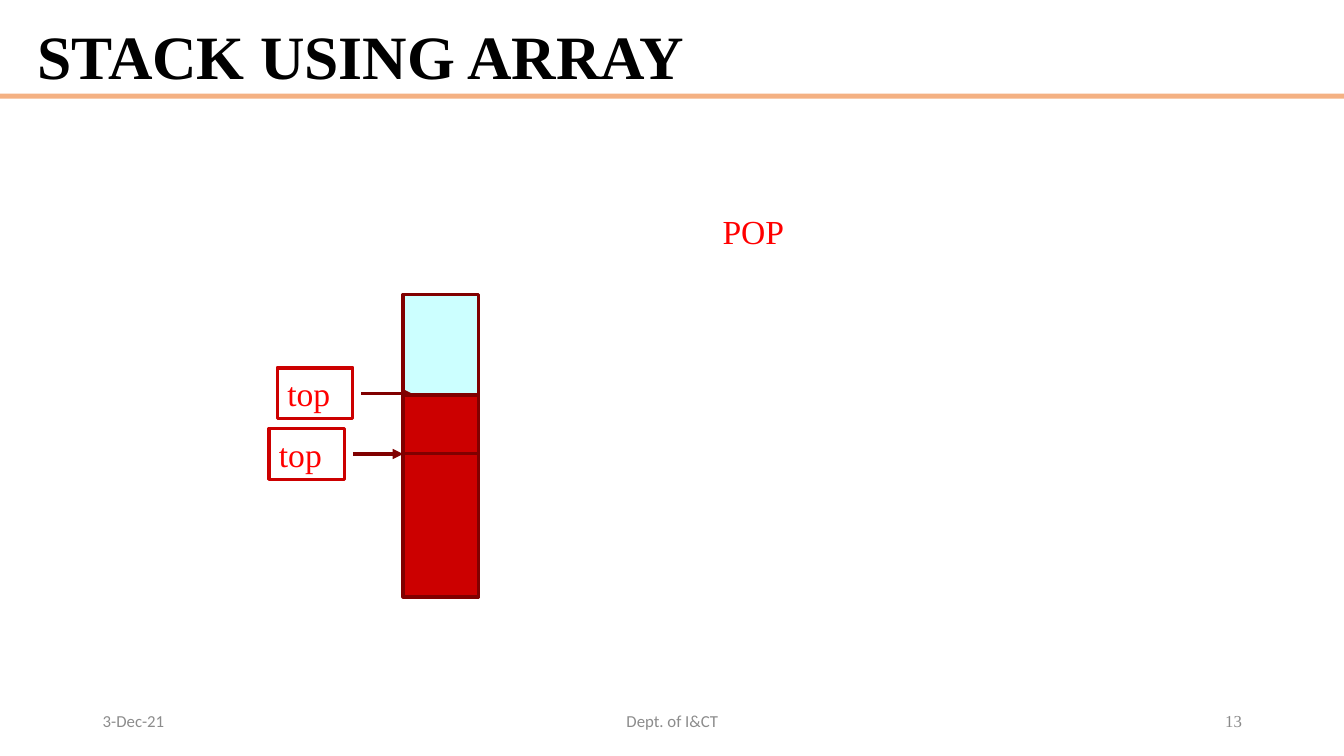
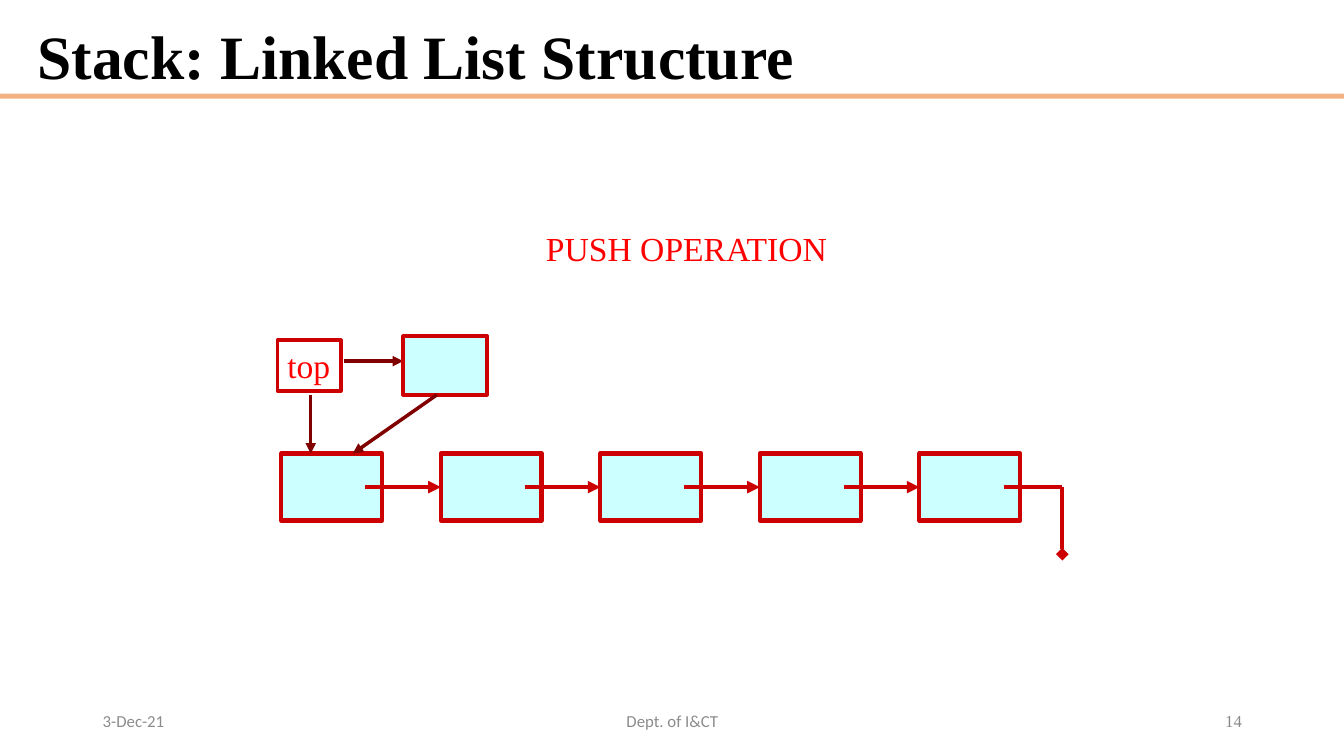
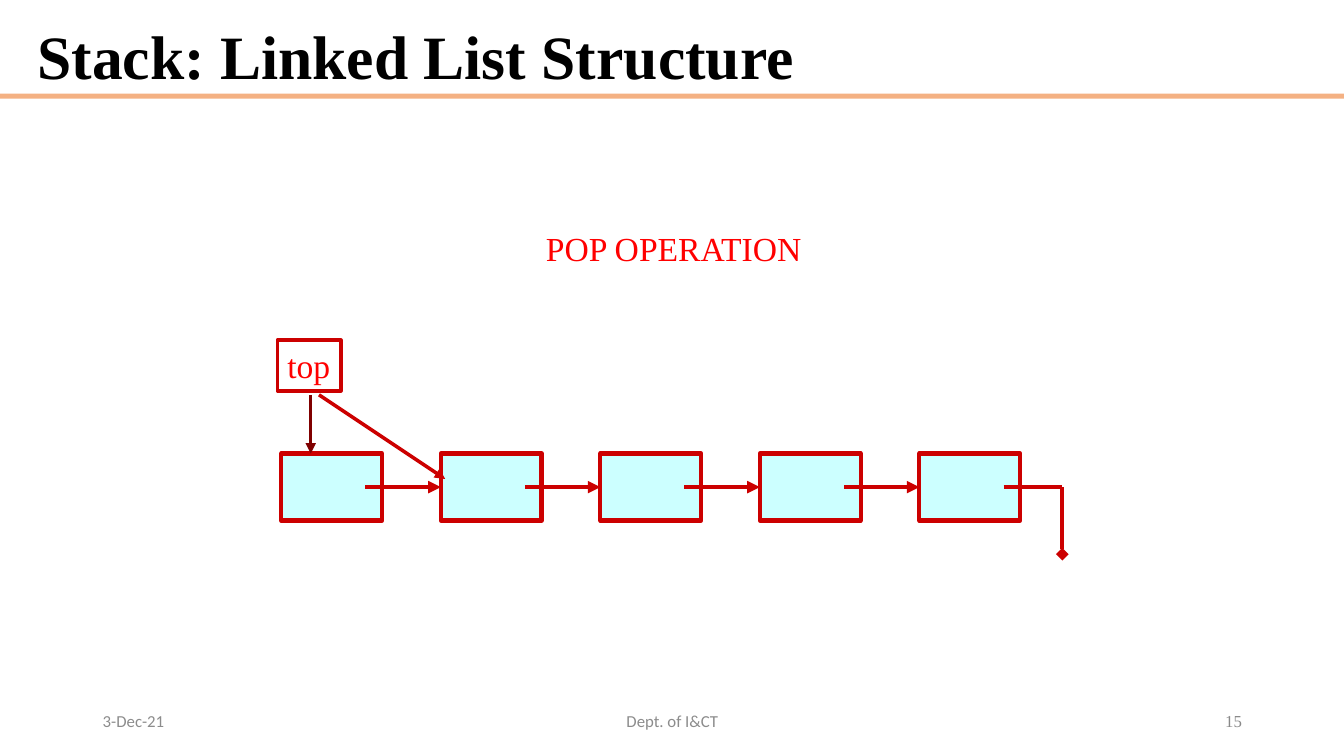
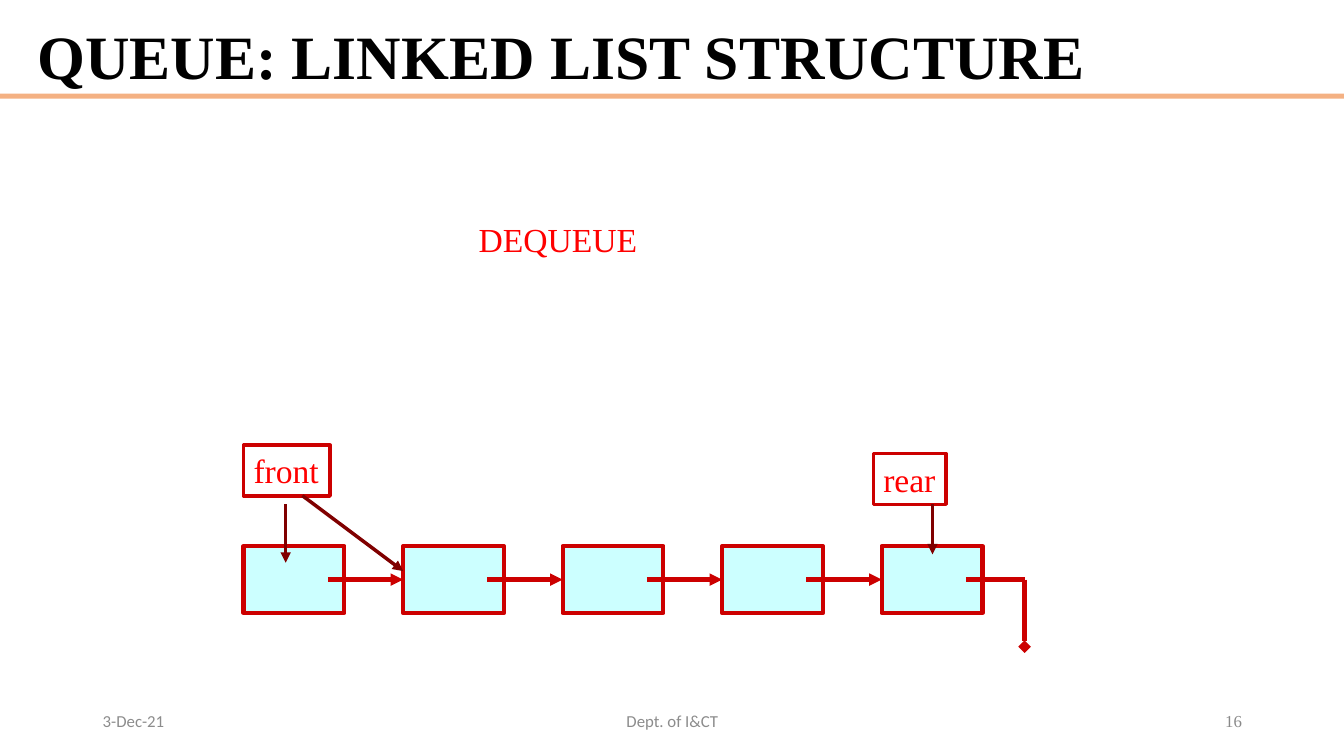
from dataclasses import dataclass

from lxml import etree
from pptx import Presentation
from pptx.dml.color import RGBColor
from pptx.enum import shapes as shp, text as txt
from pptx.oxml import ns
from pptx.slide import Slide
from pptx.util import Cm, Pt

HUES = {
    "band": "F4B183", "black": "000000", "gray": "8C8C8C", "page": "898989",
    "red": "CC0000", "dark": "800000", "cyan": "CCFFFF", "word": "FF0000",
}
SERIF, SANS = "Times New Roman", "Calibri"
LEFT, MID, RIGHT = txt.PP_ALIGN.LEFT, txt.PP_ALIGN.CENTER, txt.PP_ALIGN.RIGHT
WIDE, HIGH = 33.87, 19.05


# Elements, all lengths in centimetres
@dataclass
class Box:
    x: float
    y: float
    w: float
    h: float
    fill: str | None = None
    line: str | None = None
    weight: float = 2.5


@dataclass
class Label:
    x: float
    y: float
    w: float
    h: float
    words: str
    size: int = 24
    font: str = SERIF
    hue: str = "word"
    bold: bool = False
    align: txt.PP_ALIGN = LEFT
    mid: bool = False
    wrap: bool = False
    edge: str | None = None


@dataclass
class Arrow:
    x: float
    y: float
    to_x: float
    to_y: float
    hue: str = "dark"
    weight: float = 2.5
    head: str | None = "triangle"


Item = Box | Label | Arrow


def color(name: str) -> RGBColor:
    return RGBColor.from_string(HUES[name])


# Drawing
def draw_box(slide: Slide, box: Box) -> None:
    rect = slide.shapes.add_shape(shp.MSO_SHAPE.RECTANGLE,
                                  Cm(box.x), Cm(box.y), Cm(box.w), Cm(box.h))
    rect.shadow.inherit = False
    if box.fill:
        rect.fill.solid()
        rect.fill.fore_color.rgb = color(box.fill)
    else:
        rect.fill.background()
    if box.line:
        rect.line.color.rgb = color(box.line)
        rect.line.width = Pt(box.weight)
    else:
        rect.line.fill.background()


def draw_label(slide: Slide, label: Label) -> None:
    area = slide.shapes.add_textbox(Cm(label.x), Cm(label.y),
                                    Cm(label.w), Cm(label.h))
    if label.edge:
        area.line.color.rgb = color(label.edge)
        area.line.width = Pt(2.5)
    frame = area.text_frame
    frame.word_wrap = label.wrap
    if label.mid:
        frame.vertical_anchor = txt.MSO_ANCHOR.MIDDLE
    para = frame.paragraphs[0]
    para.text = label.words
    para.alignment = label.align
    font = para.font
    font.name, font.size, font.bold = label.font, Pt(label.size), label.bold
    font.color.rgb = color(label.hue)


def draw_arrow(slide: Slide, arrow: Arrow) -> None:
    link = slide.shapes.add_connector(shp.MSO_CONNECTOR.STRAIGHT,
                                      Cm(arrow.x), Cm(arrow.y),
                                      Cm(arrow.to_x), Cm(arrow.to_y))
    link.line.color.rgb = color(arrow.hue)
    link.line.width = Pt(arrow.weight)
    if arrow.head:
        etree.SubElement(link.line._get_or_add_ln(), ns.qn("a:tailEnd"),
                         type=arrow.head)
    etree.SubElement(link._element.spPr, ns.qn("a:effectLst"))


def draw(slide: Slide, items: list[Item]) -> None:
    tools = {Box: draw_box, Label: draw_label, Arrow: draw_arrow}
    for item in items:
        tools[type(item)](slide, item)


# Recurring parts
def frame_parts(title: str, page: int) -> list[Item]:
    foot = dict(y=17.65, h=1.02, size=12, mid=True, wrap=True)
    return [
        Box(0, 2.36, WIDE, 0.13, "band"),
        Label(0.69, 0.38, 30.86, 2.01, title, 44, hue="black", bold=True,
              mid=True, wrap=True),
        Label(x=2.34, w=7.62, words="3-Dec-21", font=SANS, hue="gray", **foot),
        Label(x=11.23, w=11.43, words="Dept. of I&CT", font=SANS, hue="gray",
              align=MID, **foot),
        Label(x=23.93, w=7.62, words=str(page), hue="page", align=RIGHT,
              **foot),
    ]


def caption(x: float, y: float, w: float, words: str) -> Label:
    return Label(x, y, w, 1.27, words)


def tag(x: float, y: float, w: float, words: str, wrap: bool = False) -> Label:
    return Label(x, y, w, 1.28, words, wrap=wrap, edge="red")


def top_mark(x: float, y: float) -> list[Item]:
    return [tag(x, y, 1.9, "top", wrap=True),
            Arrow(x + 2.11, y + 0.64, x + 3.38, y + 0.64)]


def chain(x: float, y: float, count: int = 5) -> list[Item]:
    """Linked nodes, ending in a bent line with a diamond."""
    step, out, tall = 4.02, 2.12, 1.69
    mid = y + tall / 2
    lefts = [x + i * step for i in range(count)]
    nodes = [Box(left, y, 2.54, tall, "cyan", "red", 3) for left in lefts]
    links = [Arrow(left + out, mid, left + step, mid, "red", 3)
             for left in lefts[:-1]]
    start = lefts[-1] + out
    bend = start + 1.48
    return [*nodes, *links,
            Arrow(start, mid, bend, mid, "red", 3, None),
            Arrow(bend, mid, bend, mid + tall, "red", 3, "diamond")]


def stack_list() -> list[Item]:
    return [*chain(7.09, 11.43), tag(6.99, 8.57, 1.6, "top"),
            Arrow(7.83, 9.95, 7.83, 11.43)]


# Slide contents
SLIDES: list[tuple[str, list[Item]]] = [
    ("STACK USING ARRAY", [
        Box(10.16, 11.43, 1.9, 3.61, "red", "dark"),
        Box(10.16, 7.42, 1.9, 4.01, "cyan", "dark"),
        *top_mark(6.78, 10.8),
        *top_mark(6.99, 9.27),
        Box(10.16, 9.95, 1.9, 1.48, "red", "dark"),
        caption(17.96, 5.2, 2.08, "POP"),
    ]),
    ("Stack: Linked List Structure", [
        *stack_list(),
        Arrow(8.68, 9.1, 10.16, 9.1),
        Box(10.16, 8.47, 2.12, 1.48, "cyan", "red"),
        Arrow(11.01, 9.95, 8.89, 11.43),
        caption(13.51, 5.61, 7.67, "PUSH OPERATION"),
    ]),
    ("Stack: Linked List Structure", [
        *stack_list(),
        caption(13.51, 5.61, 7.01, "POP OPERATION"),
        Arrow(8.04, 9.95, 11.22, 12.07, "red"),
    ]),
    ("QUEUE: LINKED LIST STRUCTURE", [
        *chain(6.14, 13.76),
        tag(6.14, 11.22, 2.18, "front"),
        tag(22.01, 11.43, 1.83, "rear"),
        Arrow(7.2, 12.7, 7.2, 14.18),
        Arrow(23.5, 12.7, 23.5, 13.97),
        caption(11.81, 5.4, 4.7, "DEQUEUE"),
        Arrow(7.62, 12.49, 10.16, 14.39),
    ]),
]


def main() -> None:
    deck = Presentation()
    deck.slide_width, deck.slide_height = Cm(WIDE), Cm(HIGH)
    blank = deck.slide_layouts[6]
    for page, (title, items) in enumerate(SLIDES, start=13):
        draw(deck.slides.add_slide(blank), frame_parts(title, page) + items)
    deck.save("out.pptx")


if __name__ == "__main__":
    main()
